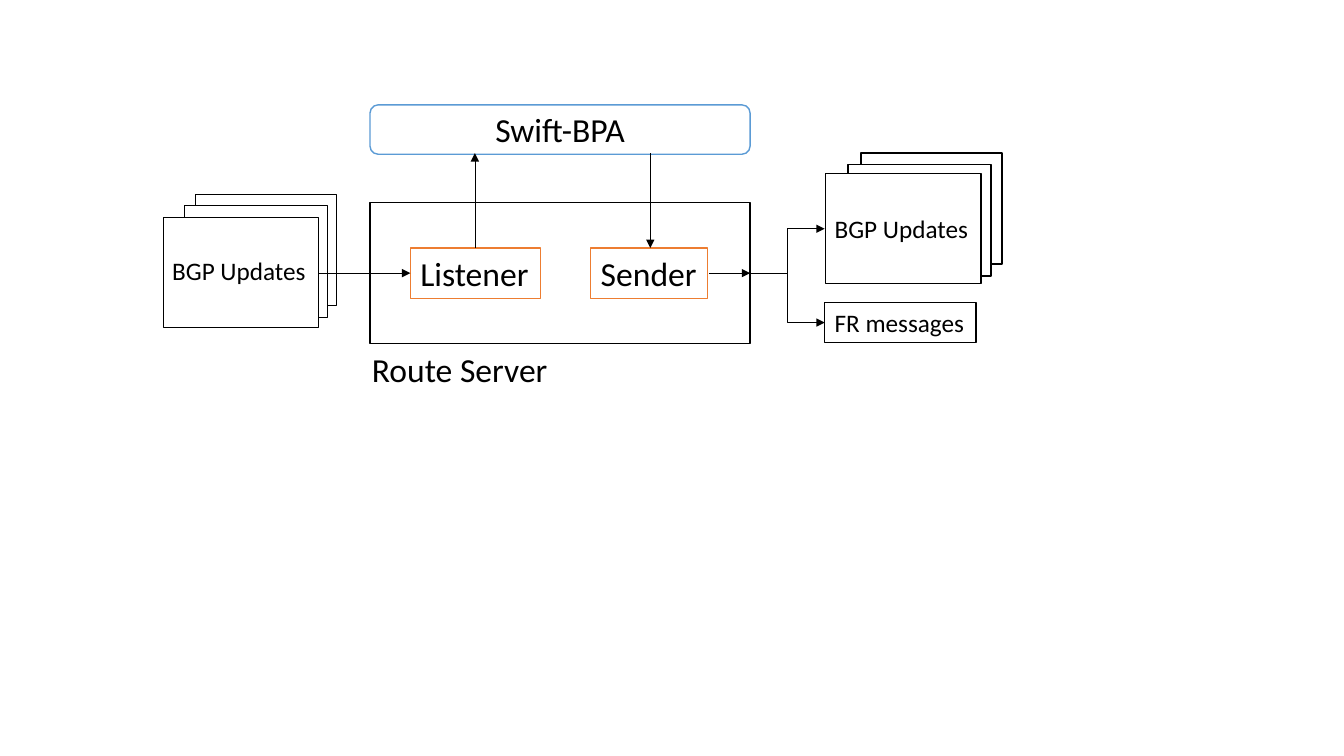
from pptx import Presentation
from pptx.dml.color import RGBColor
from pptx.enum import shapes, text
from pptx.oxml import parse_xml
from pptx.oxml.ns import nsdecls, qn
from pptx.util import Inches, Pt

BLACK, WHITE, ORANGE, BLUE = "000000", "FFFFFF", "ED7D31", "5B9BD5"
RECT = shapes.MSO_SHAPE.RECTANGLE
ROUND = shapes.MSO_SHAPE.ROUNDED_RECTANGLE
LEFT, CENTER = text.PP_ALIGN.LEFT, text.PP_ALIGN.CENTER
TOP, MIDDLE = text.MSO_ANCHOR.TOP, text.MSO_ANCHOR.MIDDLE


def color(code):
    """Turn a hex string into a colour."""
    return RGBColor.from_string(code)


def write(shape, words, size, wrap=True, align=LEFT, anchor=TOP):
    """Put one styled line of text into a shape."""
    frame = shape.text_frame
    frame.text = words
    frame.word_wrap = wrap
    frame.vertical_anchor = anchor
    if anchor == TOP:
        frame.auto_size = text.MSO_AUTO_SIZE.SHAPE_TO_FIT_TEXT
    line = frame.paragraphs[0]
    line.alignment = align
    font = line.runs[0].font
    font.name, font.size = "Calibri", Pt(size)
    font.color.rgb = color(BLACK)


def add_box(slide, box, edge=BLACK, kind=RECT):
    """Add a white outlined shape."""
    shape = slide.shapes.add_shape(kind, *map(Inches, box))
    shape.shadow.inherit = False
    shape.fill.solid()
    shape.fill.fore_color.rgb = color(WHITE)
    shape.line.color.rgb = color(edge)
    shape.line.width = Pt(1)
    return shape


def add_label(slide, box, words, size, wrap=True):
    """Add free text."""
    write(slide.shapes.add_textbox(*map(Inches, box)), words, size, wrap)


def add_arrow(slide, start, end, kind=shapes.MSO_CONNECTOR.STRAIGHT):
    """Add a thin connector with a triangle at its end."""
    arrow = slide.shapes.add_connector(kind, *map(Inches, start + end))
    arrow.line.color.rgb = color(BLACK)
    arrow.line.width = Pt(0.5)
    props = arrow._element.spPr
    props.find(qn("a:ln")).append(
        parse_xml(f'<a:tailEnd {nsdecls("a")} type="triangle"/>'))
    props.append(parse_xml(f'<a:effectLst {nsdecls("a")}/>'))


def add_stack(slide, left, top, shifts):
    """Draw three stacked update sheets, back to front, with a label."""
    sizes = [(1.4, 1.1), (1.42, 1.11), (1.54, 1.09)]
    for (dx, dy), size in zip(shifts, sizes):
        add_box(slide, (left + dx, top + dy, *size))
    add_label(slide, (left, top + 0.55, 1.55, 0.4), "BGP Updates", 18)


def add_server(slide, left, top, width, height):
    """Draw the route server with its two modules and its caption."""
    add_box(slide, (left, top, width, height))
    modules = [("Listener", 0.4, 1.29, True), ("Sender", 2.19, 1.16, False)]
    for words, dx, wide, wrap in modules:
        module = add_box(slide, (left + dx, top + 0.45, wide, 0.5), ORANGE)
        write(module, words, 24, wrap)
    add_label(slide, (left - 0.08, top + height, 1.96, 0.5),
              "Route Server", 24, False)


def add_engine(slide, left, top, width, height):
    """Draw the rounded engine box above the server."""
    engine = add_box(slide, (left, top, width, height), BLUE, ROUND)
    write(engine, "Swift-BPA", 24, align=CENTER, anchor=MIDDLE)


def add_flows(slide, left, top, width, height):
    """Draw the arrows around a server box."""
    right, middle = left + width, top + 0.7
    roof, floor = top - 0.49, top + 0.45
    exit_at = (right, middle)
    add_arrow(slide, (left - 0.51, middle), (left + 0.4, middle))
    add_arrow(slide, (right - 0.41, middle), exit_at)
    add_arrow(slide, (left + 1.04, floor), (left + 1.04, roof))
    add_arrow(slide, (left + 2.78, roof), (left + 2.78, floor))
    for level in (top + 0.26, top + 1.19):
        add_arrow(slide, exit_at, (right + 0.74, level),
                  shapes.MSO_CONNECTOR.ELBOW)


def main():
    """Build and save the slide."""
    deck = Presentation()
    deck.slide_width, deck.slide_height = Inches(13.33), Inches(7.5)
    slide = deck.slides.add_slide(deck.slide_layouts[6])
    server = (3.67, 2.01, 3.77, 1.4)
    add_stack(slide, 1.61, 1.93, [(0.33, 0), (0.22, 0.11), (0.01, 0.23)])
    add_server(slide, *server)
    add_stack(slide, 8.18, 1.52, [(0.36, 0), (0.23, 0.11), (0.01, 0.2)])
    notice = add_box(slide, (8.18, 3, 1.5, 0.4))
    write(notice, "FR messages", 18, False)
    add_engine(slide, 3.67, 1.04, 3.77, 0.49)
    add_flows(slide, *server)
    deck.save("out.pptx")


main()
